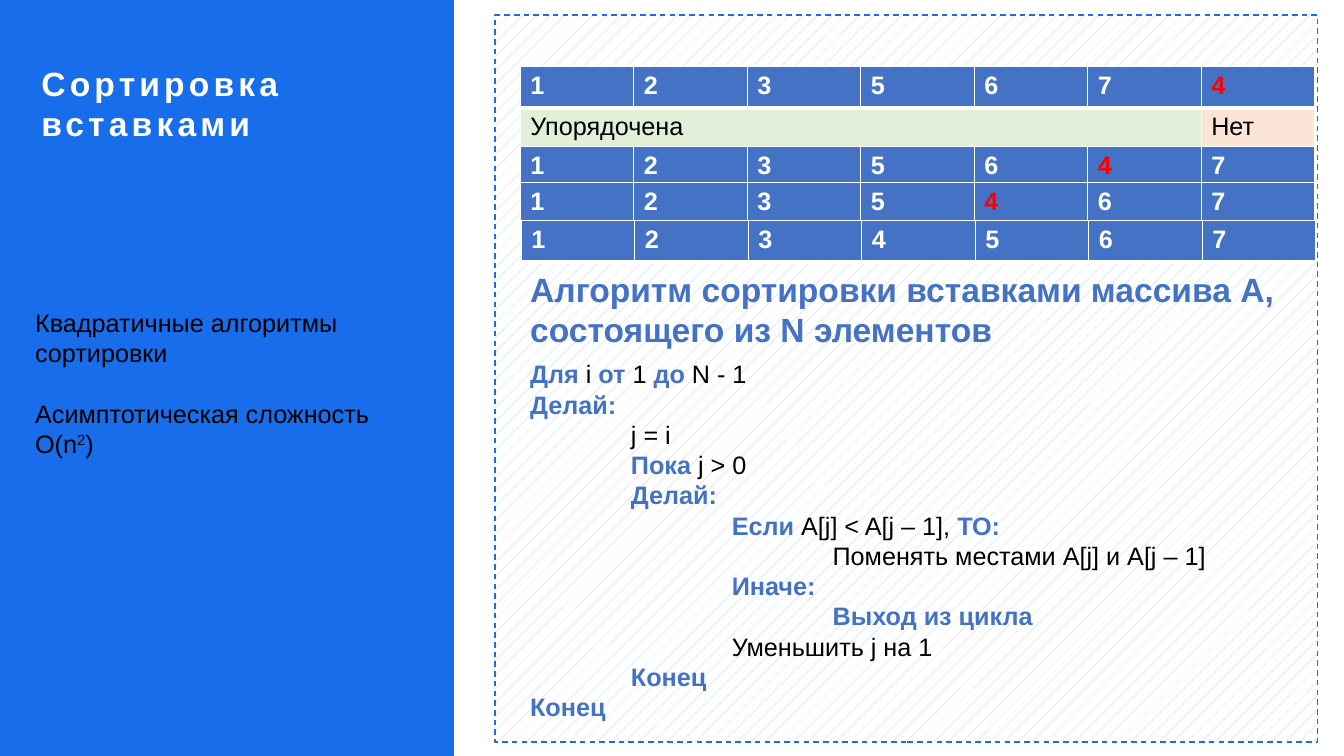
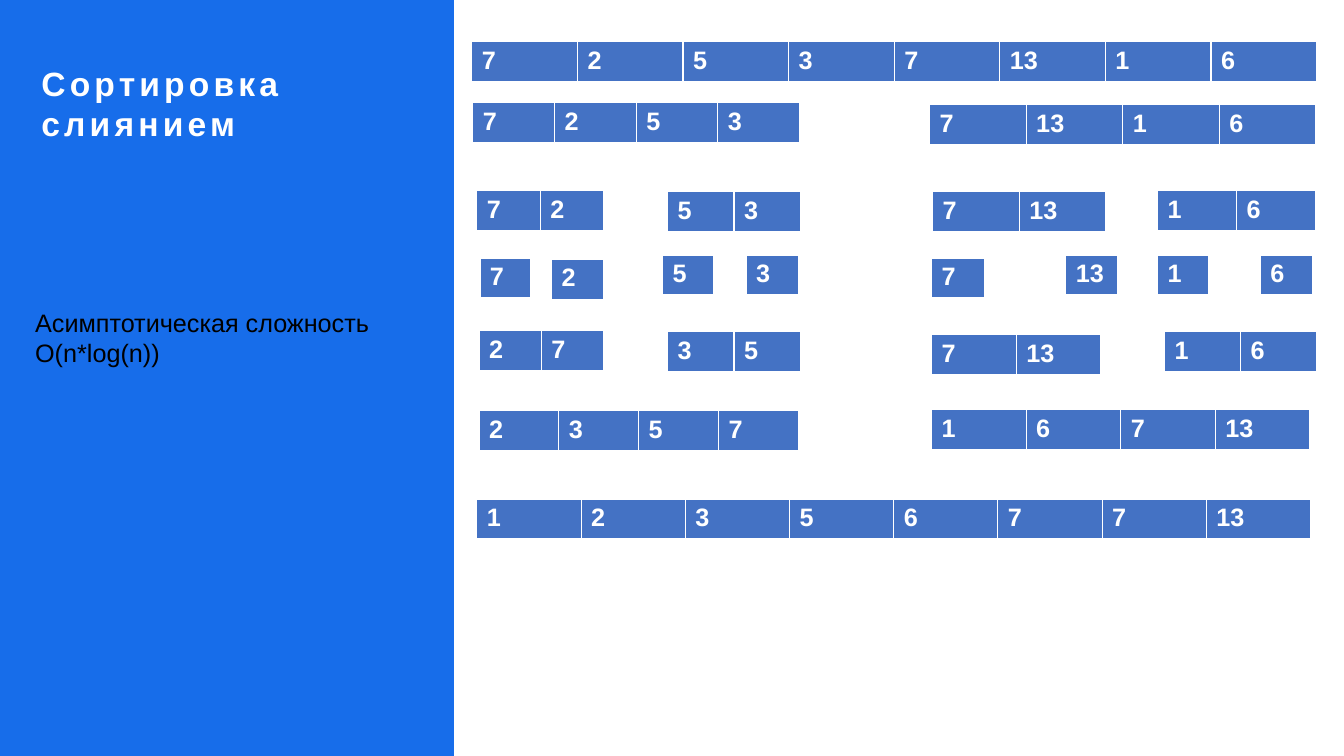
from dataclasses import dataclass

from lxml import etree
from pptx import Presentation
from pptx import util as u
from pptx.dml.color import RGBColor
from pptx.enum import dml, shapes, text
from pptx.oxml import ns

HUES = {
    "panel": "176DEA",
    "cell": "4472C4",
    "white": "FFFFFF",
    "black": "000000",
    "red": "FF0000",
    "hatch": "B4C7E7",
    "done": "E2F0D9",
    "rest": "FBE5D6",
}
FONT = "Arial"
HIGH = 0.41  # height of a table row


@dataclass
class Strip:
    """One-row table: place, width, values and the place of the moved value."""
    left: float
    top: float
    wide: float
    vals: str
    mark: int = -1


@dataclass
class Line:
    """Line of pseudocode: indent in inches, keywords between bars."""
    dent: int
    words: str


# Insertion sort: passes and pseudocode
START = Strip(5.16, 0.66, 7.88, "1 2 3 5 6 7 4", 6)
PASSES = [
    Strip(5.16, 1.45, 7.88, "1 2 3 5 6 4 7", 5),
    Strip(5.16, 1.81, 7.88, "1 2 3 5 4 6 7", 4),
    Strip(5.17, 2.19, 7.88, "1 2 3 4 5 6 7"),
]
CODE = [
    Line(0, "|Для |i |от| 1 |до |N - 1"),
    Line(0, "|Делай:|"),
    Line(1, "j = i"),
    Line(1, "|Пока |j > 0"),
    Line(1, "|Делай:|"),
    Line(2, "|Если |A[j] < A[j – 1], |ТО:|"),
    Line(3, "Поменять местами A[j] и A[j – 1]"),
    Line(2, "|Иначе:|"),
    Line(3, "|Выход из цикла|"),
    Line(2, "Уменьшить j на 1"),
    Line(1, "|Конец|"),
    Line(0, "|Конец|"),
]

# Merge sort: splits, then merges
MERGE = [
    Strip(4.68, 0.41, 8.38, "7 2 5 3 7 13 1 6"),
    Strip(4.69, 1.02, 3.24, "7 2 5 3"),
    Strip(9.22, 1.04, 3.83, "7 13 1 6"),
    Strip(4.73, 1.89, 1.26, "7 2"),
    Strip(6.62, 1.9, 1.32, "5 3"),
    Strip(9.25, 1.9, 1.72, "7 13"),
    Strip(11.48, 1.89, 1.57, "1 6"),
    Strip(4.76, 2.56, 0.5, "7"),
    Strip(5.47, 2.57, 0.52, "2"),
    Strip(6.57, 2.53, 0.51, "5"),
    Strip(7.4, 2.53, 0.52, "3"),
    Strip(9.24, 2.56, 0.53, "7"),
    Strip(10.57, 2.53, 0.51, "13"),
    Strip(11.48, 2.53, 0.51, "1"),
    Strip(12.5, 2.53, 0.52, "6"),
    Strip(4.75, 3.28, 1.24, "2 7"),
    Strip(6.62, 3.29, 1.32, "3 5"),
    Strip(9.24, 3.32, 1.68, "7 13"),
    Strip(11.55, 3.29, 1.51, "1 6"),
    Strip(4.75, 4.07, 3.17, "2 3 5 7"),
    Strip(9.24, 4.06, 3.75, "1 6 7 13"),
    Strip(4.73, 4.95, 8.27, "1 2 3 5 6 7 7 13"),
]


def hue(name: str) -> RGBColor:
    return RGBColor.from_string(HUES[name])


def write(para, words: str, size: float = 18, color: str = "black",
          bold: bool = False, space: int = 0, lift: int = 0) -> None:
    """Add a run; space is in points, lift in percent."""
    run = para.add_run()
    run.text = words
    font = run.font
    font.name, font.size, font.bold = FONT, u.Pt(size), bold
    font.color.rgb = hue(color)
    props = run._r.get_or_add_rPr()
    if space:
        props.set("spc", str(space * 100))
    if lift:
        props.set("baseline", str(lift * 1000))


def box(slide, left: float, top: float, wide: float, high: float,
        inset: bool = True):
    """Add a wrapping text box and return its frame."""
    frame = slide.shapes.add_textbox(
        u.Inches(left), u.Inches(top), u.Inches(wide), u.Inches(high)).text_frame
    frame.word_wrap = True
    frame.auto_size = text.MSO_AUTO_SIZE.SHAPE_TO_FIT_TEXT
    if not inset:
        frame.margin_left = frame.margin_right = 0
        frame.margin_top = frame.margin_bottom = 0
    return frame


def paras(frame, count: int) -> list:
    """Return the given number of paragraphs of a new frame."""
    return [frame.paragraphs[0]] + [frame.add_paragraph() for _ in range(count - 1)]


def form(slide, kind, left: float, top: float, wide: float, high: float):
    shape = slide.shapes.add_shape(
        kind, u.Inches(left), u.Inches(top), u.Inches(wide), u.Inches(high))
    shape.shadow.inherit = False
    return shape


def base(deck, title: list[str]):
    """Add a slide with the blue side panel and its title."""
    slide = deck.slides.add_slide(deck.slide_layouts[6])
    side = form(slide, shapes.MSO_SHAPE.PARALLELOGRAM, 0, 0, 4.5, 7.54)
    side.adjustments[0] = 0
    side.fill.solid()
    side.fill.fore_color.rgb = hue("panel")
    side.line.fill.background()
    frame = box(slide, 0.41, 0.62, 4.09, 0.81, inset=False)
    for para, words in zip(paras(frame, len(title)), title):
        write(para, words, size=24, color="white", bold=True, space=3)
    return slide


def paint(cell, words: str, fill: str = "cell", color: str = "white",
          bold: bool = True, foot: int = 3) -> None:
    """Fill a cell, give it white borders and write its text."""
    props = cell._tc.get_or_add_tcPr()
    for edge, width in (("L", 1), ("R", 1), ("T", 1), ("B", foot)):
        line = etree.SubElement(props, ns.qn(f"a:ln{edge}"), w=str(u.Pt(width)))
        solid = etree.SubElement(line, ns.qn("a:solidFill"))
        etree.SubElement(solid, ns.qn("a:srgbClr"), val=HUES["white"])
    cell.fill.solid()
    cell.fill.fore_color.rgb = hue(fill)
    write(cell.text_frame.paragraphs[0], words, color=color, bold=bold)


def grid(slide, strip: Strip, rows: int = 1):
    """Draw the values in the first row of a table with equal columns."""
    vals = strip.vals.split()
    table = slide.shapes.add_table(
        rows, len(vals), u.Inches(strip.left), u.Inches(strip.top),
        u.Inches(strip.wide), u.Inches(HIGH * rows)).table
    table.horz_banding = False
    for col in table.columns:
        col.width = u.Inches(strip.wide / len(vals))
    for i, val in enumerate(vals):
        paint(table.cell(0, i), val, color="red" if i == strip.mark else "white")
    return table


def insertion(deck) -> None:
    slide = base(deck, ["Сортировка вставками"])

    # Hatched frame
    area = form(slide, shapes.MSO_SHAPE.RECTANGLE, 4.91, 0.15, 8.16, 7.21)
    area.fill.patterned()
    area.fill.pattern = dml.MSO_PATTERN.PERCENT_5
    area.fill.fore_color.rgb = hue("hatch")
    area.fill.back_color.rgb = hue("white")
    area.line.color.rgb = hue("panel")
    area.line.width = u.Pt(1)
    area.line.dash_style = dml.MSO_LINE.DASH

    # Side note
    kind, cost = paras(box(slide, 0.25, 3, 4.09, 1.62), 2)
    write(kind, "Квадратичные алгоритмы сортировки")
    cost.space_before = u.Pt(21.6)
    write(cost, "Асимптотическая сложность O(n")
    write(cost, "2", lift=30)
    write(cost, ")")

    # Passes over the array
    table = grid(slide, START, rows=2)
    table.cell(1, 0).merge(table.cell(1, 5))
    paint(table.cell(1, 0), "Упорядочена", "done", "black", bold=False, foot=1)
    paint(table.cell(1, 6), "Нет", "rest", "black", bold=False, foot=1)
    for strip in PASSES:
        grid(slide, strip)

    # Pseudocode and its heading
    frame = box(slide, 5.16, 3.51, 7.93, 3.74)
    for para, line in zip(paras(frame, len(CODE)), CODE):
        if line.dent:
            para._p.get_or_add_pPr().set("marL", str(u.Inches(line.dent)))
        for i, part in enumerate(line.words.split("|")):
            key = i % 2 == 1
            if part:
                write(para, part, color="cell" if key else "black", bold=key)
    head = box(slide, 5.16, 2.62, 7.93, 0.91)
    write(head.paragraphs[0],
          "Алгоритм сортировки вставками массива А, состоящего из N элементов",
          size=24, color="cell", bold=True)


def merging(deck) -> None:
    slide = base(deck, ["Сортировка", "слиянием"])
    note = box(slide, 0.25, 3, 4.09, 0.71)
    write(note.paragraphs[0], "Асимптотическая сложность O(n*log(n))")
    for strip in MERGE:
        grid(slide, strip)


def main() -> None:
    deck = Presentation()
    deck.slide_width, deck.slide_height = u.Inches(13.33), u.Inches(7.5)
    insertion(deck)
    merging(deck)
    deck.save("out.pptx")


if __name__ == "__main__":
    main()
